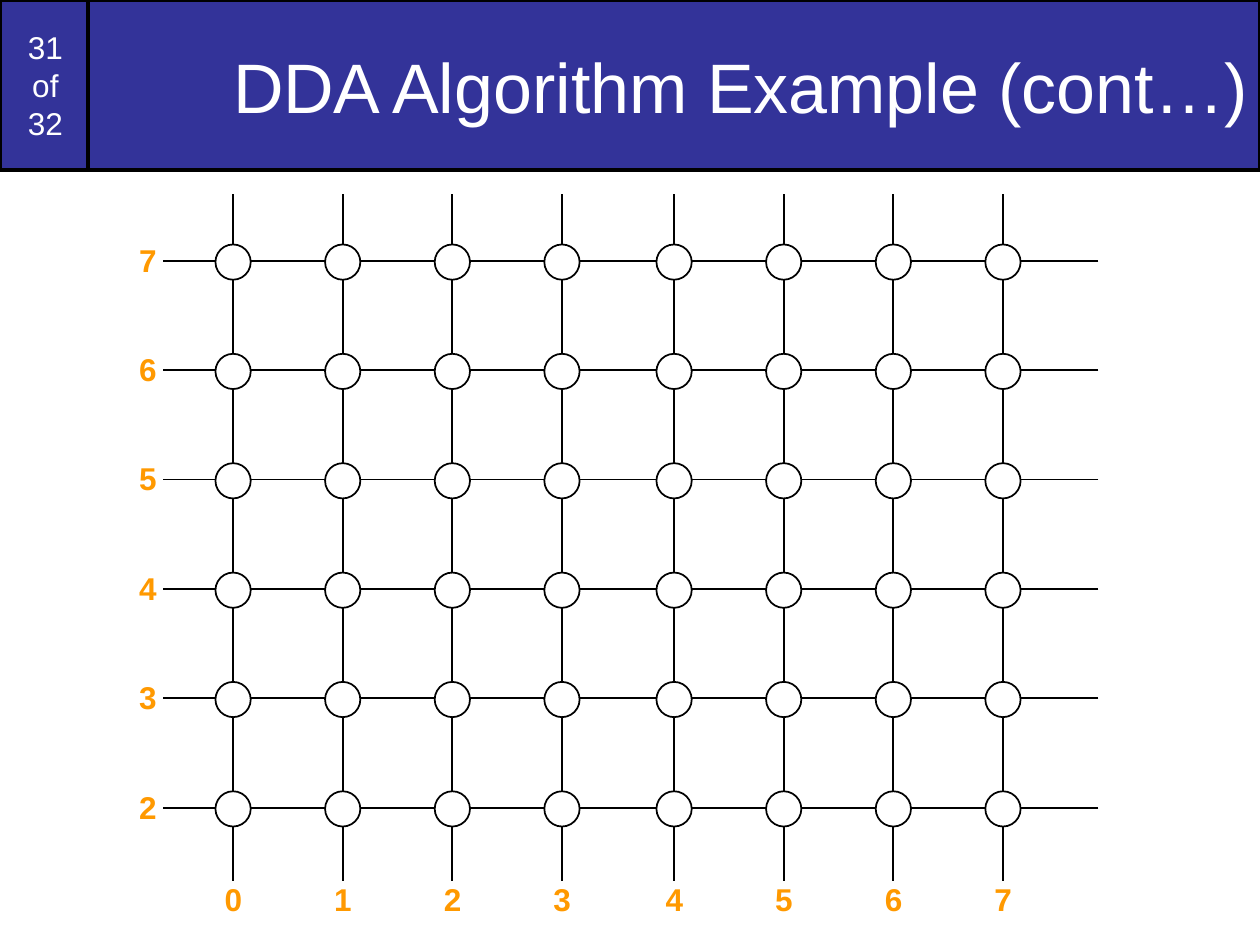
from dataclasses import dataclass

from pptx import Presentation
from pptx import util as u
from pptx.dml.color import RGBColor
from pptx.enum import shapes, text
from pptx.oxml import ns, xmlchemy


@dataclass(frozen=True)
class Theme:
    font: str = "Arial"
    banner: str = "333399"
    ink: str = "000000"
    paper: str = "FFFFFF"
    accent: str = "FF9900"
    title_size: int = 40
    body_size: int = 18
    border: int = 2
    hairline: int = 1


THEME = Theme()
WIDTH, HEIGHT = 10, 7.5
COLUMNS, ROWS = 8, 6
TOP_VALUE = 7


def column_x(column):
    middle_gap = 0.02 if column > 3 else 0
    return 1.85 + 0.87 * column + middle_gap


def row_y(row):
    return 2.07 + 0.868 * row


def write(frame, words, size=THEME.body_size, color=THEME.paper, bold=False,
          align=text.PP_ALIGN.CENTER, before=0):
    para = frame.paragraphs[0]
    para.text = words
    para.alignment = align
    para.space_before = u.Pt(before)
    for span in para.runs:
        span.font.name = THEME.font
        span.font.size = u.Pt(size)
        span.font.bold = bold
        span.font.color.rgb = RGBColor.from_string(color)


class GridSlide:
    def __init__(self, deck, theme):
        self.theme = theme
        self.page = deck.slides.add_slide(deck.slide_layouts[5])

    def paint(self, shape, fill, weight):
        shape.fill.solid()
        shape.fill.fore_color.rgb = RGBColor.from_string(fill)
        shape.line.color.rgb = RGBColor.from_string(self.theme.ink)
        shape.line.width = u.Pt(weight)

    def page_tag(self, words, width, height):
        box = self.page.shapes.add_shape(
            shapes.MSO_SHAPE.RECTANGLE, 0, 0,
            u.Inches(width * WIDTH), u.Inches(height * HEIGHT))
        box.shadow.inherit = False
        self.paint(box, self.theme.banner, self.theme.border)
        box.text_frame.vertical_anchor = text.MSO_ANCHOR.MIDDLE
        write(box.text_frame, words, before=11.2)

    def title(self, words, left, height):
        box = self.page.shapes.title
        box.left, box.top = u.Inches(left * WIDTH), 0
        box.width = u.Inches((1 - left) * WIDTH)
        box.height = u.Inches(height * HEIGHT)
        self.paint(box, self.theme.banner, self.theme.border)
        box.text_frame.vertical_anchor = text.MSO_ANCHOR.MIDDLE
        write(box.text_frame, words, size=self.theme.title_size,
              align=text.PP_ALIGN.RIGHT)
        self.page.shapes.element.append(box.element)

    def grid_line(self, start, end):
        points = [u.Inches(length) for column, row in (start, end)
                  for length in (column_x(column), row_y(row))]
        line = self.page.shapes.add_connector(
            shapes.MSO_CONNECTOR.STRAIGHT, *points)
        line.line.color.rgb = RGBColor.from_string(self.theme.ink)
        line.line.width = u.Pt(self.theme.hairline)
        line.element.spPr.append(xmlchemy.OxmlElement("a:effectLst"))

    def pixel(self, column, row, size=0.28):
        circle = self.page.shapes.add_shape(
            shapes.MSO_SHAPE.OVAL,
            u.Inches(column_x(column) - size / 2),
            u.Inches(row_y(row) + 0.01 - size / 2),
            u.Inches(size), u.Inches(size))
        circle.shadow.inherit = False
        self.paint(circle, self.theme.paper, self.theme.hairline)

    def label(self, words, column, row, width=0.34, height=0.4):
        box = self.page.shapes.add_textbox(
            u.Inches(column_x(column) - width / 2),
            u.Inches(row_y(row) - height / 2),
            u.Inches(width), u.Inches(height))
        box.text_frame.word_wrap = False
        box.text_frame.auto_size = text.MSO_AUTO_SIZE.SHAPE_TO_FIT_TEXT
        write(box.text_frame, words, color=self.theme.accent, bold=True,
              align=text.PP_ALIGN.RIGHT)


def main():
    deck = Presentation()
    deck.slide_width, deck.slide_height = u.Inches(WIDTH), u.Inches(HEIGHT)
    slide = GridSlide(deck, THEME)

    slide.page_tag("31\vof\v32", width=0.072, height=0.18)
    for row in range(ROWS):
        slide.grid_line((7.87, row), (-0.64, row))
    for column in range(COLUMNS):
        slide.grid_line((column, -0.61), (column, 5.67))
    slide.title("DDA Algorithm Example (cont…)", left=0.07, height=0.18)

    for row in range(ROWS):
        for column in range(COLUMNS):
            slide.pixel(column, row)
    for row in range(ROWS):
        slide.label(str(TOP_VALUE - row), -0.78, row - 0.01)
    for column in range(COLUMNS):
        slide.label(str(column), column, 5.84)

    deck.save("out.pptx")


if __name__ == "__main__":
    main()
